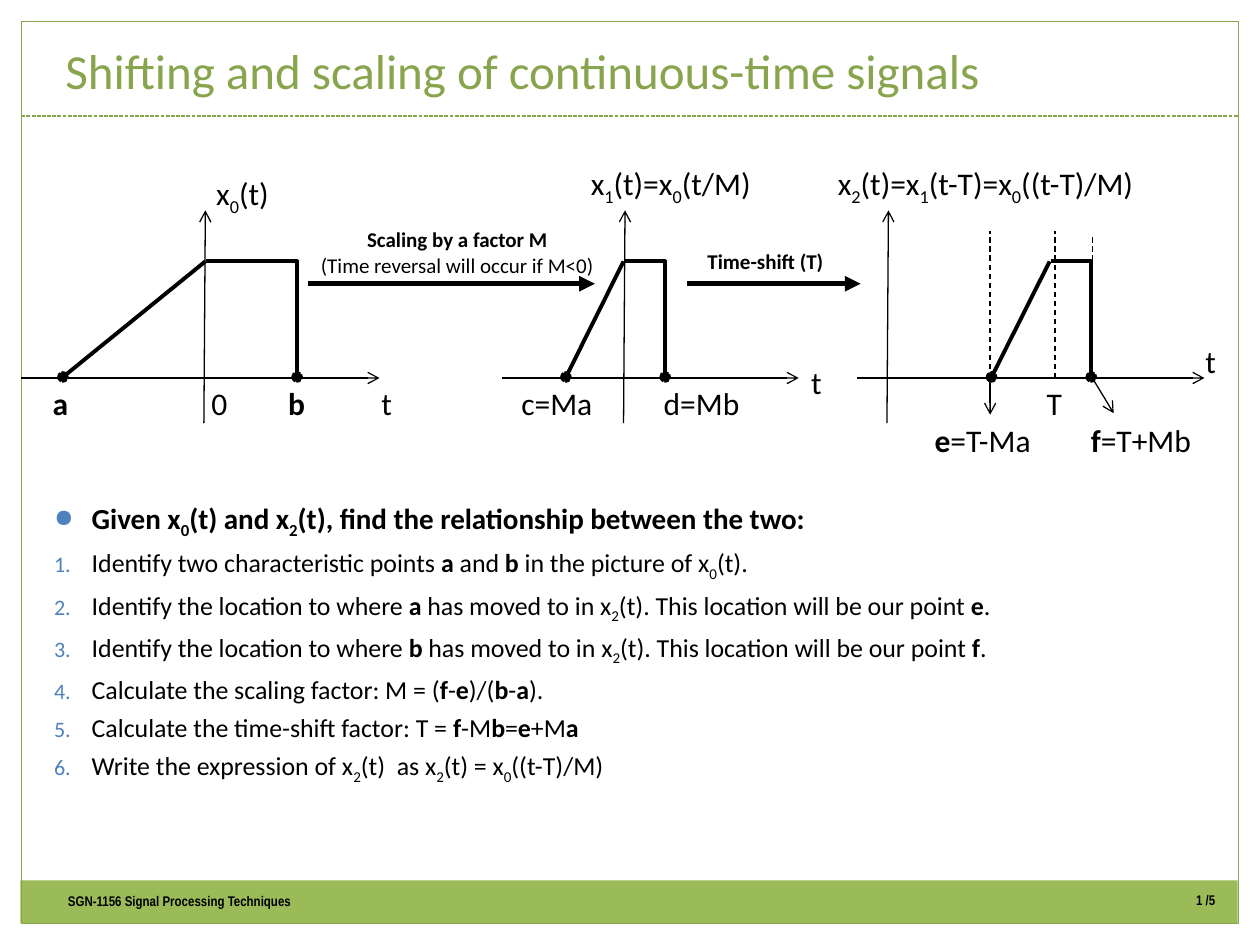
from lxml.etree import SubElement
from pptx import Presentation
from pptx.dml.color import RGBColor
from pptx.enum.dml import MSO_LINE
from pptx.enum.shapes import MSO_CONNECTOR, MSO_SHAPE
from pptx.enum.text import MSO_ANCHOR, MSO_AUTO_SIZE, PP_ALIGN
from pptx.oxml.ns import qn
from pptx.util import Cm, Pt

BLACK = RGBColor(0x00, 0x00, 0x00)
GREEN = RGBColor(0x9B, 0xBB, 0x59)
DARK_GREEN = RGBColor(0x88, 0xA4, 0x4D)
BLUE = RGBColor(0x4F, 0x81, 0xBD)

AXIS_Y = 7.62
PLATEAU_Y = 5.27
FOOT_Y = 7.6


class SlideBuilder:
    """Holds the text style and the current slide; lengths are in cm."""

    def __init__(self, page):
        self.shapes = page.shapes
        self.font = {"name": "Calibri", "size": Pt(18)}

    def set_line(self, line, color, width, dash=None):
        line.color.rgb = color
        for name, value in {"width": Pt(width), "dash_style": dash}.items():
            setattr(line, name, value)

    def shape(self, kind, left, top, width, height, fill=None, line=None):
        shape = self.shapes.add_shape(kind, Cm(left), Cm(top), Cm(width), Cm(height))
        shape.shadow.inherit = False
        if fill is None:
            shape.fill.background()
        else:
            shape.fill.solid()
            shape.fill.fore_color.rgb = fill
        if line is None:
            shape.line.fill.background()
        else:
            self.set_line(shape.line, *line)

    def dot(self, x, y):
        self.shape(MSO_SHAPE.OVAL, x - 0.1, y - 0.1, 0.2, 0.2, BLACK,
                   (BLACK, 0.91, MSO_LINE.SQUARE_DOT))

    def line(self, start, end, width=0.75, color=BLACK, dash=None, head=None):
        connector = self.shapes.add_connector(
            MSO_CONNECTOR.STRAIGHT, *(Cm(value) for value in (*start, *end)))
        self.set_line(connector.line, color, width, dash)
        properties = connector._element.spPr
        if head:
            SubElement(properties.find(qn("a:ln")), qn("a:tailEnd"), type=head)
        SubElement(properties, qn("a:effectLst"))

    def polyline(self, points, width):
        first, *rest = [(Cm(x), Cm(y)) for x, y in points]
        builder = self.shapes.build_freeform(*first)
        builder.add_line_segments(rest, close=False)
        outline = builder.convert_to_shape()
        outline.shadow.inherit = False
        outline.fill.background()
        self.set_line(outline.line, BLACK, width)

    def spans(self, para, text, style):
        """*text* is bold and _x makes one subscript character."""
        for index, part in enumerate(text.split("*")):
            plain, *marked = part.split("_")
            pieces = [(plain, False)]
            for piece in marked:
                pieces += [(piece[0], True), (piece[1:], False)]
            for content, lowered in pieces:
                if not content:
                    continue
                span = para.add_run()
                span.text = content
                for name, value in {**style, "bold": index % 2 == 1}.items():
                    setattr(span.font, name, value)
                if lowered:
                    span._r.get_or_add_rPr().set("baseline", "-25000")

    def text(self, left, top, width, height, lines, size=18, color=BLACK,
             align=PP_ALIGN.LEFT, **frame_format):
        box = self.shapes.add_textbox(Cm(left), Cm(top), Cm(width), Cm(height))
        frame = box.text_frame
        for name, value in {"word_wrap": True, **frame_format}.items():
            setattr(frame, name, value)
        style = {**self.font, "size": Pt(size)}
        for index, content in enumerate(lines):
            para = frame.paragraphs[0] if index == 0 else frame.add_paragraph()
            para.alignment = align
            self.spans(para, content, style)
            for span in para.runs:
                span.font.color.rgb = color
        return frame

    def label(self, left, top, width, height, *lines, size=18, align=PP_ALIGN.LEFT):
        self.text(left, top, width, height, lines, size, align=align,
                  word_wrap=False, auto_size=MSO_AUTO_SIZE.SHAPE_TO_FIT_TEXT)

    def bullet(self, para, tag, **attributes):
        properties = para._p.get_or_add_pPr()
        properties.set("marL", str(Cm(0.76)))
        properties.set("indent", str(-Cm(0.76)))
        color = SubElement(properties, qn("a:buClr"))
        SubElement(color, qn("a:srgbClr"), val=str(BLUE))
        SubElement(properties, qn("a:buSzPct"), val="85000")
        SubElement(properties, qn(tag), **attributes)

    def steps(self, left, top, width, height, heading, items):
        frame = self.text(left, top, width, height, [heading, *items], 14.8)
        first, *rest = frame.paragraphs
        self.bullet(first, "a:buChar", char="●")
        for span in first.runs:
            span.font.size = Pt(16.6)
        for para in rest:
            self.bullet(para, "a:buAutoNum", type="arabicPeriod")
            para.space_before = Pt(4)

    def signal(self, axis_start, axis_end, origin, foot, ramp_top, drop):
        self.line((axis_start, AXIS_Y), (axis_end, AXIS_Y), head="arrow")
        self.line((origin, 8.53), (origin + 0.03, 4.24), head="arrow")
        self.polyline([(ramp_top + 0.02, PLATEAU_Y), (drop, PLATEAU_Y),
                       (drop, AXIS_Y)], 2.25)
        self.line((ramp_top, PLATEAU_Y), (foot, FOOT_Y), 2.25)
        for x in (foot, drop):
            self.dot(x, FOOT_Y)


def main():
    deck = Presentation()
    deck.slide_width, deck.slide_height = Cm(25.4), Cm(19.05)
    builder = SlideBuilder(deck.slides.add_slide(deck.slide_layouts[6]))

    # Frame, footer band and title
    builder.shape(MSO_SHAPE.RECTANGLE, 0.41, 17.75, 24.54, 0.86, GREEN)
    builder.shape(MSO_SHAPE.RECTANGLE, 0.43, 0.43, 24.54, 18.19,
                  line=(DARK_GREEN, 0.75))
    builder.line((0.43, 2.34), (24.97, 2.34), color=DARK_GREEN,
                 dash=MSO_LINE.SQUARE_DOT)
    builder.font["name"] = "Arial Narrow"
    builder.text(1.12, 17.86, 9.96, 0.84,
                 ["*SGN-1156 Signal Processing Techniques*"], 8)
    builder.text(23.67, 17.53, 1.27, 1.22, ["*1 /5*"], 8, align=PP_ALIGN.CENTER,
                 vertical_anchor=MSO_ANCHOR.MIDDLE,
                 margin_left=Cm(0.13), margin_right=Cm(0.13))
    builder.font["name"] = "Calibri"
    builder.text(1.07, 0.43, 23.7, 1.7,
                 ["Shifting and scaling of continuous-time signals"], 28,
                 DARK_GREEN, vertical_anchor=MSO_ANCHOR.BOTTOM)

    # Procedure
    location = "has moved to in x_2(t). This location will be our point"
    builder.steps(
        0.84, 9.96, 23.62, 6.98,
        "*Given x_0(t) and x_2(t), find the relationship between the two:*",
        ["Identify two characteristic points *a* and *b* in the picture of x_0(t).",
         f"Identify the location to where *a *{location} *e*.",
         f"Identify the location to where *b *{location} *f*.",
         "Calculate the scaling factor: M = (*f*-*e*)/(*b*-*a*).",
         "Calculate the time-shift factor: T = *f*-M*b*=*e*+M*a*",
         "Write the expression of x_2(t)  as x_2(t) = x_0((t-T)/M)"])

    # Signals: axis start and end, origin, foot, ramp top, drop
    for signal in [(0.43, 7.65, 4.11, 1.27, 4.14, 5.99),
                   (10.11, 16.1, 12.57, 11.41, 12.57, 13.41),
                   (17.27, 24.28, 17.88, 19.99, 21.16, 22)]:
        builder.signal(*signal)

    # Guides and pointers of the shifted signal
    for x, top in [(19.96, 4.65), (21.27, 4.65), (22.02, 4.75)]:
        builder.line((x, AXIS_Y), (x, top), dash=MSO_LINE.DASH)
    builder.line((19.96, 7.57), (19.96, 8.36), head="arrow")
    builder.line((22.02, AXIS_Y), (22.45, 8.33), head="arrow")

    # Signal names, then axis and point labels
    for left, top, width, name in [(4.11, 3.38, 1.65, "x_0(t)"),
                                   (11.66, 3.18, 3.99, "x_1(t)=x_0(t/M)"),
                                   (16.64, 3.18, 7.01, "x_2(t)=x_1(t-T)=x_0((t-T)/M)")]:
        builder.label(left, top, width, 1.12, name)
    for left, top, width, name in [(7.44, 7.62, 0.74, "t"), (16.1, 7.19, 0.74, "t"),
                                   (24.05, 6.78, 0.74, "t"), (0.81, 7.62, 0.89, "*a*"),
                                   (5.56, 7.62, 0.91, "*b*"), (4.01, 7.62, 0.86, "0"),
                                   (10.26, 7.62, 2.11, "c=Ma"),
                                   (13.13, 7.62, 2.21, "d=Mb"),
                                   (20.85, 7.62, 0.86, "T"),
                                   (18.59, 8.36, 2.72, "*e*=T-Ma"),
                                   (21.74, 8.36, 2.79, "*f*=T+Mb")]:
        builder.label(left, top, width, 1.02, name)

    # Operations between the signals
    for start, end in [(6.2, 11.99), (13.84, 17.35)]:
        builder.line((start, 5.72), (end, 5.72), 3, head="triangle")
    builder.label(5.84, 4.45, 6.76, 1.27, "*Scaling by a factor M*",
                  "(Time reversal will occur if M<0)", size=12, align=PP_ALIGN.CENTER)
    builder.label(13.79, 4.88, 3.28, 0.76, "*Time-shift (T)*",
                  size=12, align=PP_ALIGN.CENTER)

    deck.save("out.pptx")


if __name__ == "__main__":
    main()
